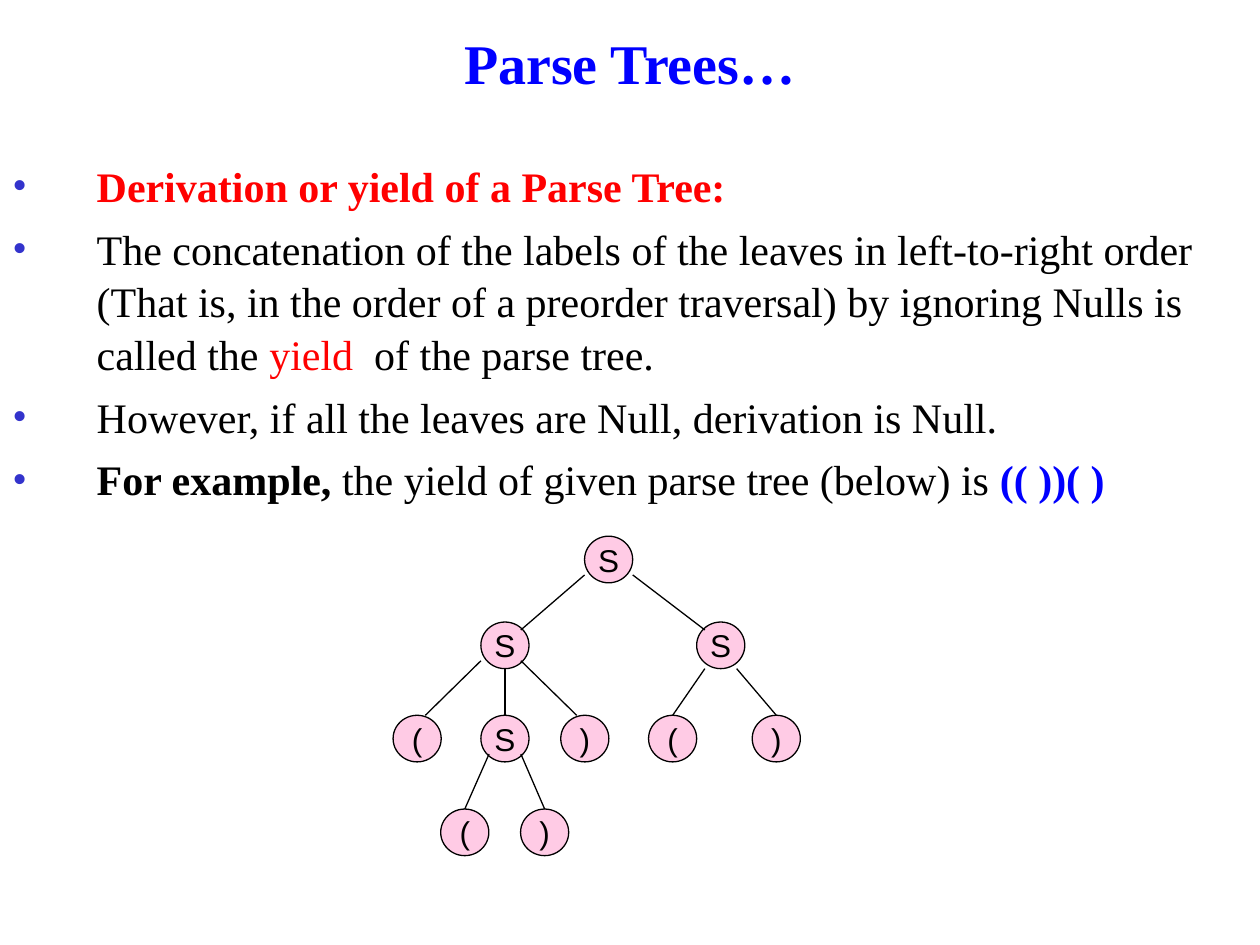
from dataclasses import dataclass

from lxml.etree import SubElement
from pptx import Presentation
from pptx.dml.color import RGBColor
from pptx.enum.shapes import MSO_CONNECTOR, MSO_SHAPE
from pptx.enum.text import MSO_ANCHOR, PP_ALIGN
from pptx.oxml.ns import qn
from pptx.util import Cm, Pt

SERIF, SANS = "Times New Roman", "Arial"
BLACK, BLUE, RED, BULLET_BLUE, PINK = "000000", "0000FF", "FF0000", "3333CC", "FF99CC"
NODE_WIDTH, NODE_HEIGHT = 0.97, 0.94
ROW_TOPS = (10.81, 12.54, 14.42, 16.31)


@dataclass(frozen=True)
class Words:
    text: str
    color: str = BLACK
    bold: bool = False


@dataclass(frozen=True)
class Node:
    label: str
    center: float
    row: int

    def point(self, across: float, down: float) -> tuple:
        """Place in the node: across from its centre, down from its top, in node sizes."""
        return (Cm(self.center + across * NODE_WIDTH),
                Cm(ROW_TOPS[self.row] + down * NODE_HEIGHT))


@dataclass(frozen=True)
class Edge:
    parent: Node
    child: Node
    start: tuple
    end: tuple = (0, 0)


def rgb(color: str) -> RGBColor:
    return RGBColor.from_string(color)


def add_words(para, words: Words, font: str, size: int) -> None:
    span = para.add_run()
    span.text = words.text
    span.font.name = font
    span.font.size = Pt(size)
    span.font.bold = words.bold
    span.font.color.rgb = rgb(words.color)


def add_bullet(para, indent: float) -> None:
    properties = para._p.get_or_add_pPr()
    properties.set("marL", str(Cm(indent)))
    properties.set("indent", str(-Cm(indent)))
    color = SubElement(properties, qn("a:buClr"))
    SubElement(color, qn("a:srgbClr"), val=BULLET_BLUE)
    SubElement(properties, qn("a:buFont"), typeface=SERIF)
    SubElement(properties, qn("a:buChar"), char="•")


def add_title(page, words: Words) -> None:
    box = page.shapes.add_textbox(0, 0, Cm(25.4), Cm(2.49))
    frame = box.text_frame
    frame.word_wrap = True
    frame.vertical_anchor = MSO_ANCHOR.MIDDLE
    para = frame.paragraphs[0]
    para.alignment = PP_ALIGN.CENTER
    add_words(para, words, SERIF, 32)


def add_body(page, points: list) -> None:
    box = page.shapes.add_textbox(0, Cm(3.07), Cm(25.4), Cm(15.98))
    frame = box.text_frame
    frame.word_wrap = True
    for index, point in enumerate(points):
        para = frame.add_paragraph() if index else frame.paragraphs[0]
        para.line_spacing = 1.04
        if index:
            para.space_before = Pt(6)
        add_bullet(para, 1.7)
        for words in point:
            add_words(para, words, SERIF, 24)


def draw_node(group, node: Node) -> None:
    circle = group.shapes.add_shape(MSO_SHAPE.OVAL, *node.point(-0.5, 0),
                                    Cm(NODE_WIDTH), Cm(NODE_HEIGHT))
    circle.shadow.inherit = False
    circle.fill.solid()
    circle.fill.fore_color.rgb = rgb(PINK)
    fill_color = circle._element.spPr.find(qn("a:solidFill"))[0]
    SubElement(fill_color, qn("a:alpha"), val="50000")
    circle.line.color.rgb = rgb(BLACK)
    circle.line.width = Pt(0.75)
    frame = circle.text_frame
    frame.word_wrap = False
    frame.vertical_anchor = MSO_ANCHOR.MIDDLE
    para = frame.paragraphs[0]
    para.alignment = PP_ALIGN.CENTER
    add_words(para, Words(node.label), SANS, 18)


def draw_edge(group, edge: Edge) -> None:
    line = group.shapes.add_connector(MSO_CONNECTOR.STRAIGHT,
                                      *edge.parent.point(*edge.start),
                                      *edge.child.point(*edge.end))
    line.line.color.rgb = rgb(BLACK)
    line.line.width = Pt(0.75)
    SubElement(line._element.spPr, qn("a:effectLst"))


def draw_tree(page) -> None:
    root = Node("S", 12.27, 0)
    left, right = Node("S", 10.18, 1), Node("S", 14.53, 1)
    left_open, inner, left_close = Node("(", 8.41, 2), Node("S", 10.18, 2), Node(")", 11.79, 2)
    right_open, right_close = Node("(", 13.56, 2), Node(")", 15.65, 2)
    inner_open, inner_close = Node("(", 9.37, 3), Node(")", 10.98, 3)
    nodes = (root, left, right, left_open, inner, left_close,
             right_open, right_close, inner_open, inner_close)
    edges = (
        Edge(root, left, (-0.5, 0.83), (0.33, 0.17)),
        Edge(root, right, (0.5, 0.83), (-0.33, 0.17)),
        Edge(left, left_open, (-0.5, 0.83), (0.17, 0)),
        Edge(left, inner, (0, 1)),
        Edge(left, left_close, (0.33, 0.83), (-0.17, 0)),
        Edge(right, right_open, (-0.33, 1)),
        Edge(right, right_close, (0.33, 1)),
        Edge(inner, inner_open, (-0.33, 0.83)),
        Edge(inner, inner_close, (0.33, 0.83)),
    )
    group = page.shapes.add_group_shape()
    for node in nodes:
        draw_node(group, node)
    for edge in edges:
        draw_edge(group, edge)


def main() -> None:
    deck = Presentation()
    deck.slide_width, deck.slide_height = Cm(25.4), Cm(19.05)
    page = deck.slides.add_slide(deck.slide_layouts[6])
    add_title(page, Words("Parse Trees…", BLUE, True))
    add_body(page, [
        [Words("Derivation or yield of a Parse Tree:", RED, True)],
        [Words("The concatenation of the labels of the leaves in left-to-right order "
               "(That is, in the order of a preorder traversal) by ignoring Nulls is "
               "called the "),
         Words("yield ", RED),
         Words(" of the parse tree.")],
        [Words("However, if all the leaves are Null, derivation is Null.")],
        [Words("For example, ", bold=True),
         Words("the yield of given parse tree (below) is "),
         Words("(( ))( )", BLUE, True)],
    ])
    draw_tree(page)
    deck.save("out.pptx")


if __name__ == "__main__":
    main()
